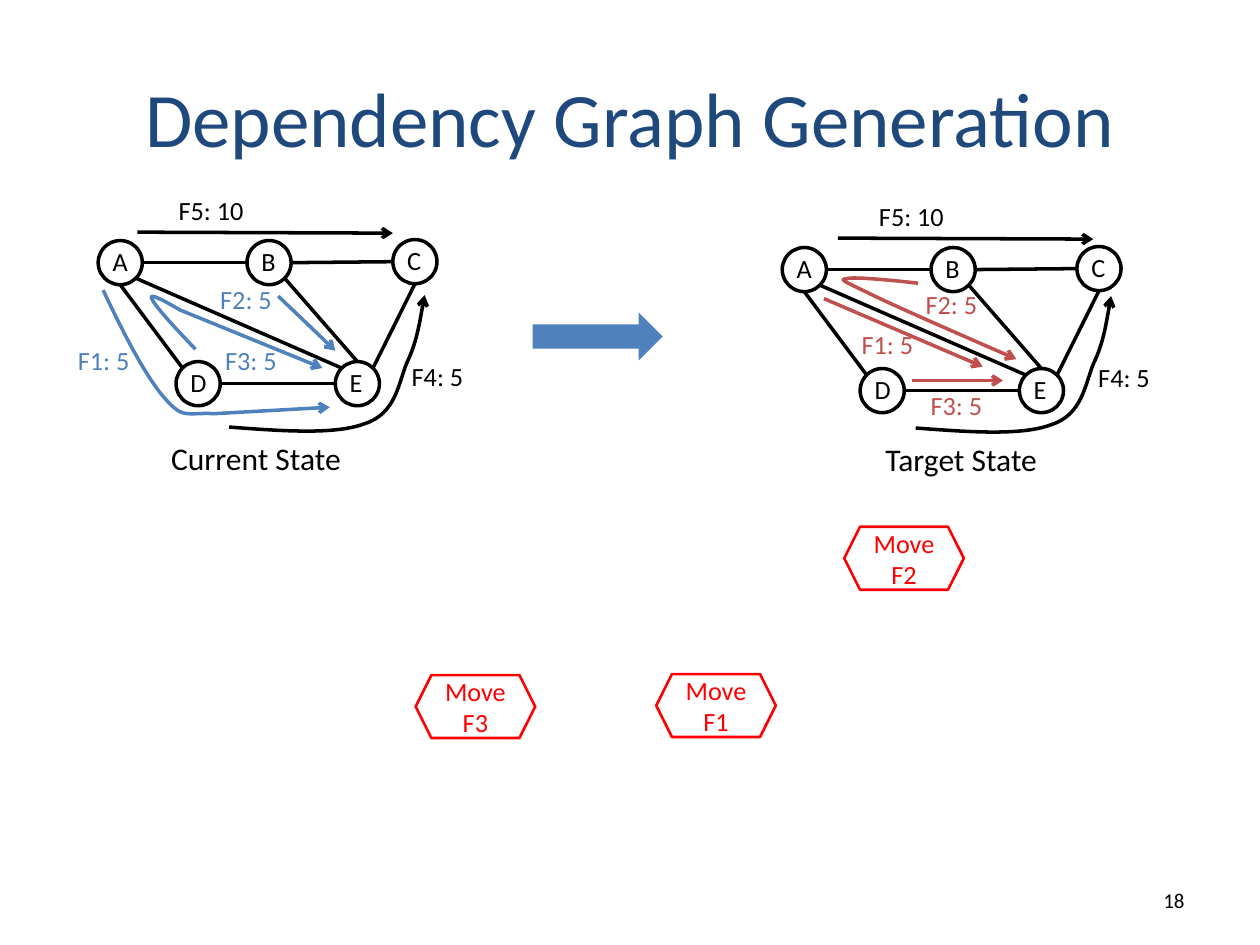
from math import cos, radians, sin

from lxml import etree
from pptx import Presentation
from pptx import util as u
from pptx.dml.color import RGBColor
from pptx.enum import shapes, text
from pptx.oxml.ns import qn

BLACK = RGBColor(0x00, 0x00, 0x00)
NAVY = RGBColor(0x1F, 0x49, 0x7D)
BLUE = RGBColor(0x4F, 0x81, 0xBD)
BRICK = RGBColor(0xC0, 0x50, 0x4D)
RED = RGBColor(0xFF, 0x00, 0x00)
FONT = "Calibri"

# Lengths are in centimetres; graph parts are relative to the graph's corner.
SIZE = 0.89
NODES = {"A": (0, 0.02), "B": (3, 0.02), "C": (5.94, 0),
         "D": (1.57, 2.46), "E": (4.78, 2.46)}
# Each link joins two nodes at clockwise angles, with 0 at the right.
LINKS = [("B", 180, "A", 0), ("C", 180, "B", 0), ("D", 225, "A", 90),
         ("E", 225, "A", 45), ("E", 180, "D", 0), ("C", 90, "E", 315),
         ("E", 270, "B", 45)]

# Flow: label, label place, segment kinds (C curve, L line), points.
F4 = ("F4: 5", (6.07, 2.31), "CCC",
      [(2.64, 3.78), (3.71, 3.86), (4.78, 3.94), (5.38, 3.71), (5.99, 3.51),
       (6.05, 2.92), (6.22, 2.49), (6.43, 2.06), (6.58, 1.12), (6.58, 1.12)])
F5 = ("F5: 10", (1.37, -1.04), "L", [(0.79, -0.15), (5.94, -0.13)])
CURRENT = [
    ("F1: 5", (-0.66, 1.98), "CCL",
     [(0.1, 1.02), (0.53, 1.93), (0.99, 2.82), (1.37, 3.23), (1.73, 3.63),
      (1.78, 3.48), (2.34, 3.51), (4.67, 3.38)]),
    ("F2: 5", (2.21, 0.76), "L", [(3.63, 1.14), (4.78, 2.24)]),
    ("F3: 5", (2.31, 1.98), "CCL",
     [(1.96, 2.21), (1.55, 1.78), (1.12, 1.32), (1.07, 1.17), (1.02, 1.04),
      (1.65, 1.42), (1.65, 1.42), (4.52, 2.59)]),
]
TARGET = [
    ("F1: 5", (1.35, 1.53), "L", [(0.84, 1.05), (4.04, 2.42)]),
    ("F2: 5", (2.64, 0.72), "CCC",
     [(2.74, 0.74), (2.13, 0.67), (1.52, 0.62), (1.35, 0.64), (1.17, 0.67),
      (1.12, 0.64), (1.7, 0.92), (2.26, 1.2), (4.72, 2.27), (4.72, 2.27)]),
    ("F3: 5", (2.74, 2.75), "L", [(2.62, 2.7), (4.45, 2.7)]),
]


def move(box, *points):
    """Shift points by the corner of a box."""
    return [(box[0] + x, box[1] + y) for x, y in points]


def style(frame, size, color, align=None):
    """Format every paragraph and run of a text frame."""
    for para in frame.paragraphs:
        para.alignment = align
        for run in para.runs:
            run.font.name = FONT
            run.font.size = u.Pt(size)
            run.font.color.rgb = color


def label(slide, spot, words, size, color, width=2.49, wrap=True):
    """Add a text box at a spot and return it."""
    box = slide.shapes.add_textbox(*map(u.Cm, (*spot, width, 0.89)))
    box.text_frame.word_wrap = wrap
    box.text_frame.text = words
    style(box.text_frame, size, color)
    return box


def stroke(shape, color, width=2, arrow=False):
    """Set the line, drop the shadow, and add an arrowhead if asked."""
    shape.line.color.rgb = color
    shape.line.width = u.Pt(width)
    props = shape.element.spPr
    if props.find(qn("a:effectLst")) is None:
        etree.SubElement(props, qn("a:effectLst"))
    if arrow:
        tail = etree.SubElement(props.find(qn("a:ln")), qn("a:tailEnd"))
        tail.set("type", "arrow")


def outline(slide, kind, box, color, width=2):
    """Add an unfilled preset shape."""
    shape = slide.shapes.add_shape(kind, *map(u.Cm, box))
    shape.fill.background()
    stroke(shape, color, width)
    return shape


def line(slide, start, end, color, arrow=False):
    """Add a straight connector."""
    link = slide.shapes.add_connector(
        shapes.MSO_CONNECTOR.STRAIGHT, *map(u.Cm, (*start, *end)))
    stroke(link, color, arrow=arrow)


def curve(slide, kinds, points, color):
    """Add an open arrow of Bezier curves and straight segments."""
    first, *rest = [(u.Cm(x), u.Cm(y)) for x, y in points]
    pen = slide.shapes.build_freeform(*first, scale=1.0)
    pen.add_line_segments(rest, close=False)
    shape = pen.convert_to_shape()
    shape.fill.background()
    stroke(shape, color, arrow=True)
    steps = iter(list(shape.element.iter(qn("a:lnTo"))))
    for kind in kinds:
        step = next(steps)
        if kind == "C":
            step.tag = qn("a:cubicBezTo")
            for _ in range(2):
                extra = next(steps)
                step.append(extra[0])
                extra.getparent().remove(extra)


def rim(name, angle):
    """Return the point of a node's circle at an angle."""
    x, y = NODES[name]
    half, turn = SIZE / 2, radians(angle)
    return x + half + half * cos(turn), y + half + half * sin(turn)


def flow(slide, box, item, color):
    """Draw one flow and its label."""
    words, spot, kinds, points = item
    points = move(box, *points)
    if kinds == "L":
        line(slide, *points, color, arrow=True)
    else:
        curve(slide, kinds, points, color)
    label(slide, *move(box, spot), words, 15, color)


def graph(slide, box, flows, color, title, spot, shifts):
    """Draw a network state with its flows and caption."""
    for first, turn, second, back in LINKS:
        line(slide, *move(box, rim(first, turn), rim(second, back)), BLACK)
    for name, place in NODES.items():
        (x, y), = move(box, place)
        outline(slide, shapes.MSO_SHAPE.OVAL, (x, y, SIZE, SIZE), BLACK)
        label(slide, (x + 0.04, y - 0.03), name, 15, BLACK, 2)
    for item in flows:
        flow(slide, box, item, color)
    for item, shift in zip((F4, F5), shifts):
        flow(slide, *move(box, shift), item, BLACK)
    label(slide, *move(box, spot), title, 18, BLACK, 4, wrap=False)


def step(slide, box, words):
    """Draw a hexagon for one move."""
    shape = outline(slide, shapes.MSO_SHAPE.HEXAGON, (*box, 2.41, 1.27), RED, 1.5)
    frame = shape.text_frame
    frame.text = words
    frame.vertical_anchor = text.MSO_ANCHOR.MIDDLE
    style(frame, 15, RED, text.PP_ALIGN.CENTER)


def head(slide, box):
    """Fill and place the title."""
    title = slide.shapes.title
    title.left, title.top, title.width, title.height = map(u.Cm, box)
    title.text_frame.text = "Dependency Graph Generation"
    title.text_frame.vertical_anchor = text.MSO_ANCHOR.MIDDLE
    style(title.text_frame, 44, NAVY, text.PP_ALIGN.CENTER)


def foot(slide, spot):
    """Add the page number."""
    box = label(slide, spot, "18", 12, BLACK, 5.93)
    box.height = u.Cm(1.01)
    box.text_frame.vertical_anchor = text.MSO_ANCHOR.MIDDLE
    box.text_frame.paragraphs[0].alignment = text.PP_ALIGN.RIGHT


def arrow(slide, box):
    """Draw the block arrow between the states."""
    shape = slide.shapes.add_shape(
        shapes.MSO_SHAPE.RIGHT_ARROW, *map(u.Cm, box))
    shape.shadow.inherit = False
    shape.fill.solid()
    shape.fill.fore_color.rgb = BLUE
    shape.line.fill.background()


def main():
    """Build the slide and save it."""
    deck = Presentation()
    deck.slide_width, deck.slide_height = u.Cm(25.4), u.Cm(19.05)
    slide = deck.slides.add_slide(deck.slide_layouts[5])
    head(slide, (1.27, 0.76, 22.86, 3.18))
    arrow(slide, (10.74, 6.3, 2.62, 0.97))
    graph(slide, (1.98, 4.83), CURRENT, BLUE, "Current State",
          (1.22, 3.89), [(0, 0), (0, 0)])
    graph(slide, (15.77, 4.97), TARGET, BRICK, "Target State",
          (1.83, 3.77), [(0.05, -0.12), (0.33, -0.02)])
    for box, name in (((8.38, 13.61), "F3"), ((13.23, 13.59), "F1"),
                      ((17.02, 10.62), "F2")):
        step(slide, box, "Move\n" + name)
    foot(slide, (18.2, 17.65))
    deck.save("out.pptx")


main()
